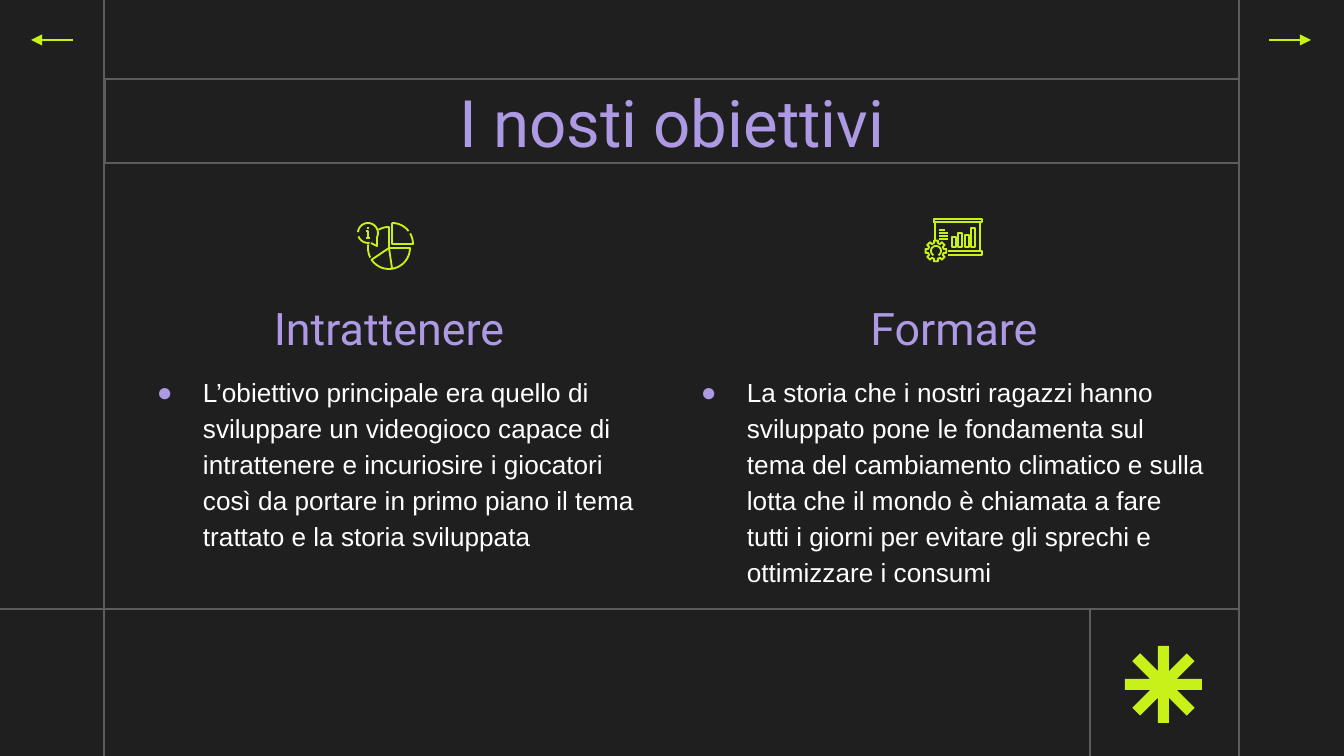
from math import cos, radians, sin, tan
from lxml.etree import SubElement
from pptx import Presentation
from pptx.dml.color import RGBColor
from pptx.enum.shapes import MSO_CONNECTOR as CONNECTOR, MSO_SHAPE as SHAPE
from pptx.enum.text import MSO_ANCHOR as ANCHOR, PP_ALIGN as ALIGN
from pptx.oxml.ns import qn
from pptx.util import Pt

SCALE = 914400 / 134.4
COLORS = {name: RGBColor.from_string(value) for name, value in {
    "background": "1F1F1F", "grid": "5C5C5C", "lime": "C8F119",
    "violet": "AD99E4", "white": "FFFFFF"}.items()}

presentation = Presentation()
presentation.slide_width = round(1344 * SCALE)
presentation.slide_height = round(756 * SCALE)
slide = presentation.slides.add_slide(presentation.slide_layouts[6])
slide.background.fill.solid()
slide.background.fill.fore_color.rgb = COLORS["background"]
shapes = slide.shapes


def add_outline(points, closed=False, filled=False):
    """Draw a lime outline, or a filled lime shape, through pixel points."""
    points = [(x * SCALE, y * SCALE) for x, y in points]
    builder = shapes.build_freeform(*points[0], scale=1.0)
    builder.add_line_segments(points[1:], close=closed)
    shape = builder.convert_to_shape()
    shape.shadow.inherit = False
    if filled:
        shape.fill.solid()
        shape.fill.fore_color.rgb = COLORS["lime"]
        shape.line.fill.background()
    else:
        shape.fill.background()
        shape.line.color.rgb = COLORS["lime"]
        shape.line.width = Pt(1)


def add_text(shape, text, font, size, color, align, anchor):
    """Write one paragraph into a shape and return it."""
    frame = shape.text_frame
    frame.word_wrap = True
    frame.vertical_anchor = anchor
    frame.margin_left = frame.margin_right = round(13 * SCALE)
    frame.margin_top = frame.margin_bottom = round(13 * SCALE)
    paragraph = frame.paragraphs[0]
    paragraph.alignment = align
    run = paragraph.add_run()
    run.text = text
    run.font.name = font
    run.font.size = Pt(size)
    run.font.color.rgb = COLORS[color]
    return paragraph


# Grid lines and navigation arrows
for x1, y1, x2, y2, color in [
        (104, 0, 104, 756, "grid"), (1239, 0, 1239, 756, "grid"),
        (0, 609, 1239, 609, "grid"), (1090, 609, 1090, 756, "grid"),
        (1269, 40, 1311, 40, "lime"), (73, 40, 31, 40, "lime")]:
    ends = [round(value * SCALE) for value in (x1, y1, x2, y2)]
    connector = shapes.add_connector(CONNECTOR.STRAIGHT, *ends)
    connector.line.color.rgb = COLORS[color]
    connector.line.width = Pt(0.75)
    properties = connector._element.spPr
    if color == "lime":
        SubElement(properties.find(qn("a:ln")), qn("a:tailEnd"), type="triangle")
    SubElement(properties, qn("a:effectLst"))

# Title
title_box = [round(value * SCALE) for value in (105, 79, 1134, 84)]
title = shapes.add_shape(SHAPE.RECTANGLE, *title_box)
title.shadow.inherit = False
title.fill.background()
title.line.color.rgb = COLORS["grid"]
title.line.width = Pt(0.75)
add_text(title, "I nosti obiettivi", "Roboto", 35, "violet", ALIGN.CENTER, ANCHOR.MIDDLE)

# Two columns: heading and bulleted text
for left, indent, heading, body in [
        (123, 67, "Intrattenere",
         "L’obiettivo principale era quello di sviluppare un videogioco capace di "
         "intrattenere e incuriosire i giocatori così da portare in primo piano il "
         "tema trattato e la storia sviluppata"),
        (688, 46, "Formare",
         "La storia che i nostri ragazzi hanno sviluppato pone le fondamenta sul "
         "tema del cambiamento climatico e sulla lotta che il mondo è chiamata a "
         "fare tutti i giorni per evitare gli sprechi e ottimizzare i consumi")]:
    heading_box = [round(value * SCALE) for value in (left, 301, 532, 66)]
    add_text(shapes.add_textbox(*heading_box), heading, "Roboto", 24, "violet",
             ALIGN.CENTER, ANCHOR.BOTTOM)
    body_box = [round(value * SCALE) for value in (left, 359, 532, 257)]
    paragraph = add_text(shapes.add_textbox(*body_box), body, "Arial", 14, "white",
                         ALIGN.LEFT, ANCHOR.TOP)
    paragraph.line_spacing = 1.15
    properties = paragraph._p.get_or_add_pPr()
    properties.set("marL", str(round(indent * SCALE)))
    properties.set("indent", str(round(-46 * SCALE)))
    bullet_color = SubElement(properties, qn("a:buClr"))
    SubElement(bullet_color, qn("a:srgbClr"), val=str(COLORS["violet"]))
    SubElement(properties, qn("a:buFont"), typeface="Arial")
    SubElement(properties, qn("a:buChar"), char="●")

# Asterisk: eight arms, each with two tip corners and a valley
asterisk = []
for arm in range(8):
    turn = radians(45 * arm)
    for x, y in [(-5.5, -38.5), (5.5, -38.5), (5.5, -5.5 / tan(radians(22.5)))]:
        asterisk.append((1163.5 + x * cos(turn) - y * sin(turn),
                         684.5 + x * sin(turn) + y * cos(turn)))
add_outline(asterisk, closed=True, filled=True)

# Pie icon and gear hub: arcs as centre, radius, start and end angle, extra points
for x, y, radius, start, end, extra in [
        (389, 248, 21, 0, 146, [(389, 248), (410, 248)]),
        (389, 248, 21, 153, 190, []),
        (389, 248, 21, 240, 270, [(389, 248), (392, 268)]),
        (392, 244, 21, 270, 322, []),
        (392, 244, 21, 330, 360, [(392, 244), (392, 223)]),
        (368, 233, 10, 185, 385, [(377, 246), (371, 243)]),
        (368, 233, 10, 80, 160, []),
        (936, 251, 5, 120, 420, [])]:
    steps = [radians(start + (end - start) * step / 24) for step in range(25)]
    add_outline([(x + radius * cos(a), y + radius * sin(a)) for a in steps] + extra)

# Information mark in the bubble
add_outline([(366, 231), (368, 231), (368, 238)])
add_outline([(366, 238), (370, 238)])
add_outline([(367, 228), (369, 228)])

# Presentation board: rails, sides and text lines
add_outline([(934, 223), (934, 219), (982, 219), (982, 222), (934, 222)])
add_outline([(948, 251), (982, 251), (982, 255), (948, 255)])
for x in (935, 980):
    add_outline([(x, 222), (x, 240 if x == 935 else 251)])
for row, width in enumerate((6, 9, 9, 9)):
    y = 230 + 3 * row
    add_outline([(939, y), (939 + width, y)])

# Bars on the board
for column, top in enumerate((237, 233, 235, 228)):
    x = 952 + 6.4 * column
    add_outline([(x, 247), (x, top), (x + 4, top), (x + 4, 247)], closed=True)

# Gear: eight teeth, each with two inner and two outer corners
gear = []
for tooth in range(8):
    for offset, radius in [(-14, 8), (-11, 10.5), (11, 10.5), (14, 8)]:
        angle = radians(45 * tooth + offset)
        gear.append((936 + radius * cos(angle), 251 + radius * sin(angle)))
add_outline(gear, closed=True)

presentation.save("out.pptx")
